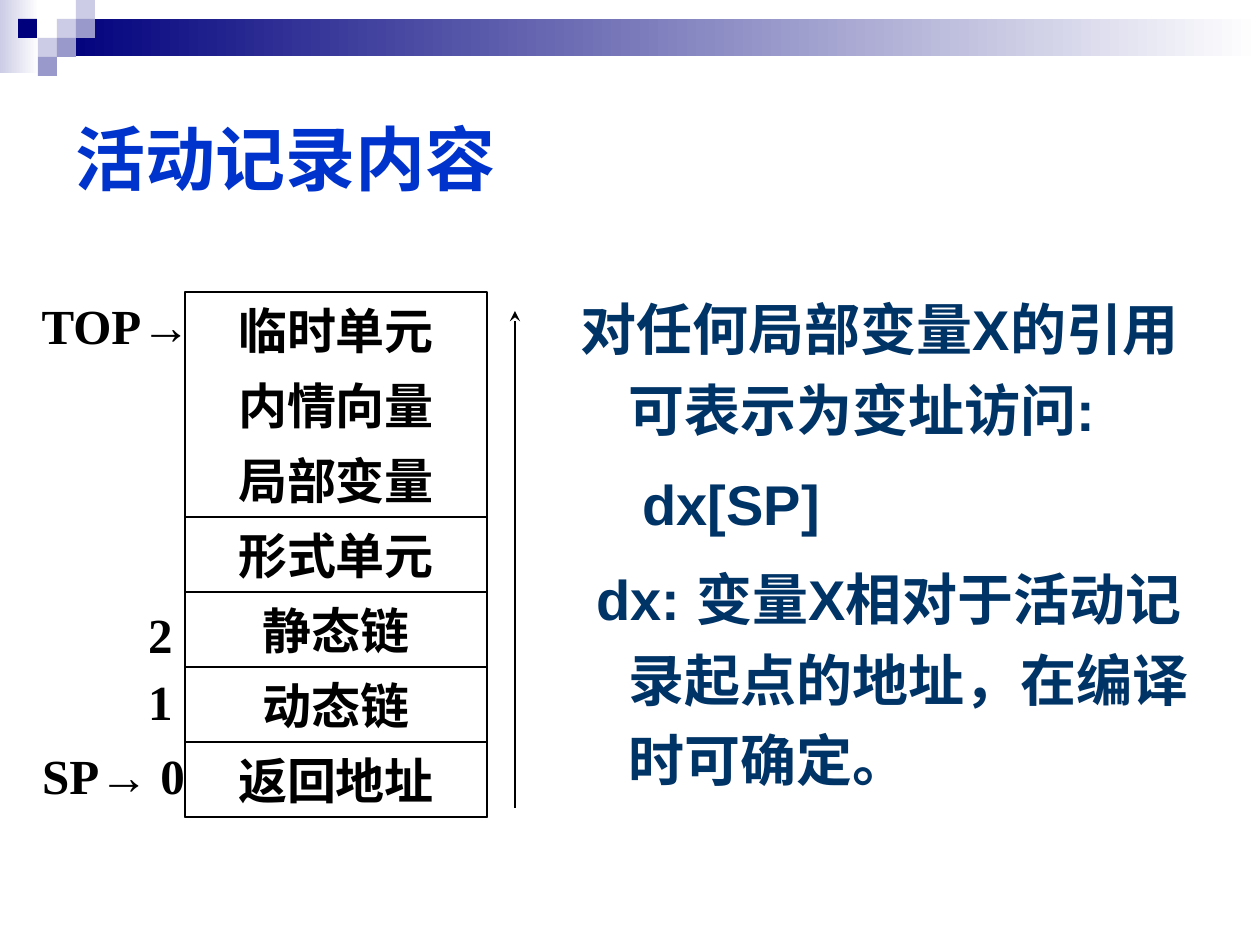
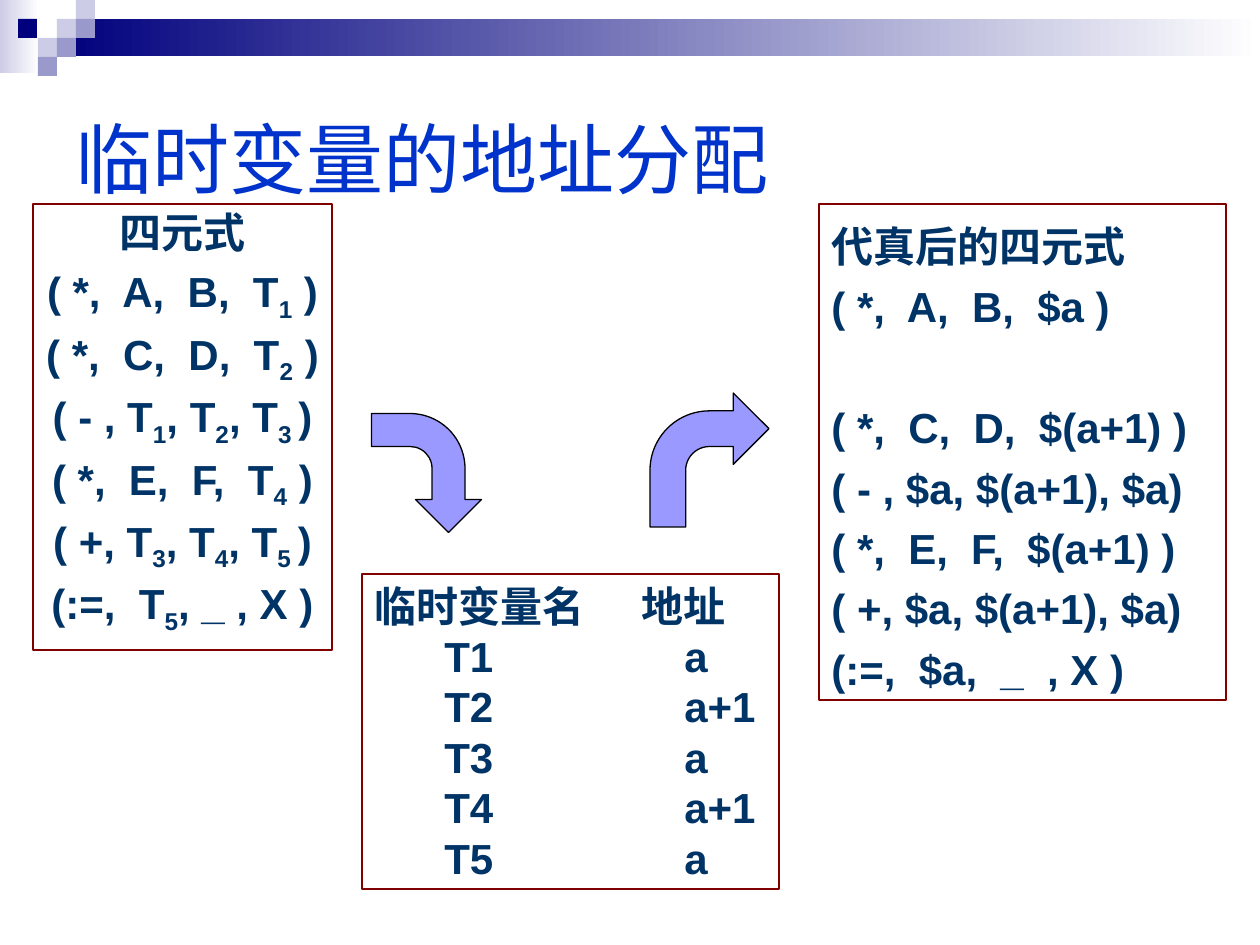
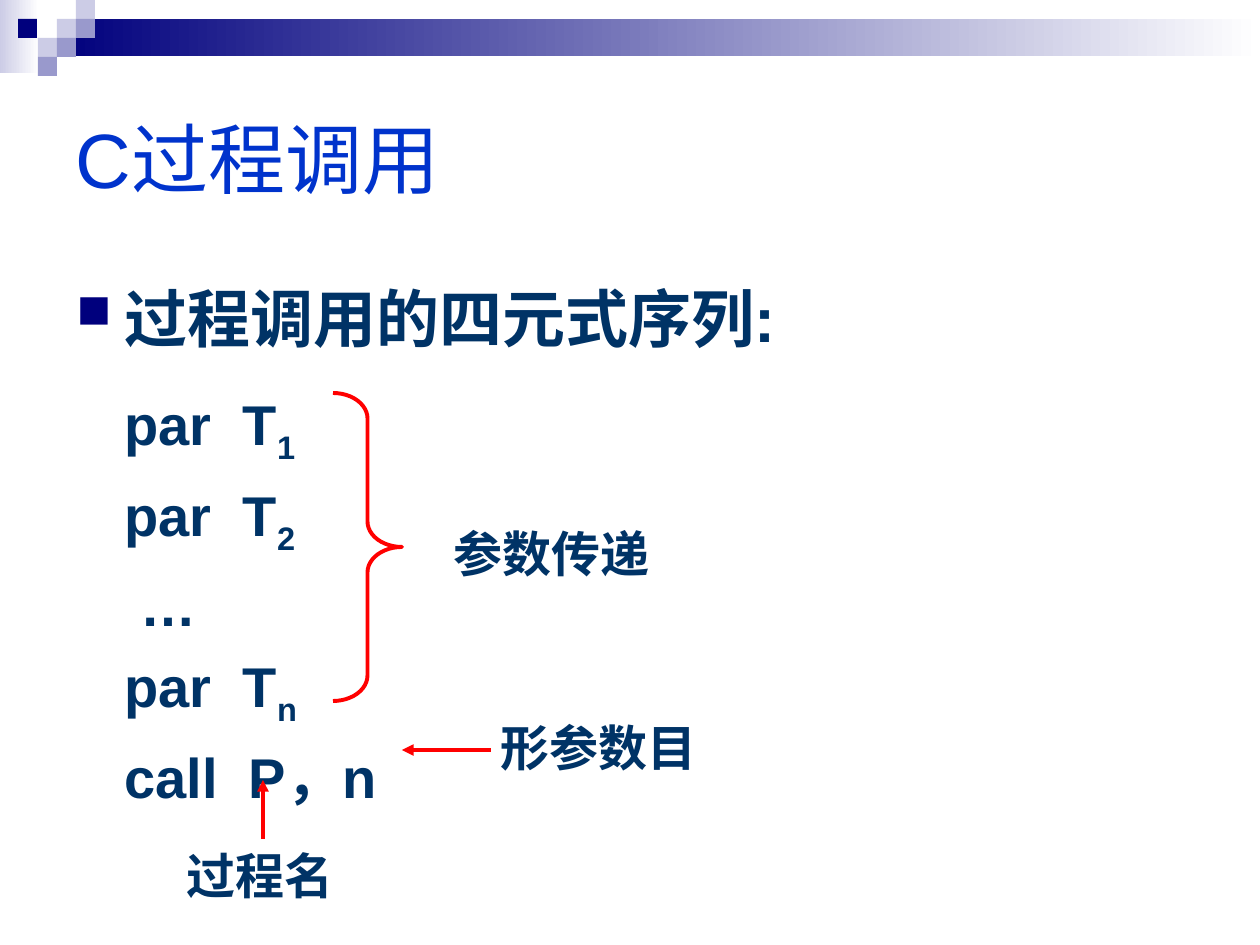
from lxml import etree
from pptx import Presentation
from pptx import util as u
from pptx.dml.color import RGBColor
from pptx.enum import shapes, text
from pptx.oxml.ns import qn

SCALE = 914400 / 126
NAVY, LILAC, VIOLET, WHITE = "00007D", "CCCCE6", "9999CC", "FFFFFF"
BLUE, INK, BLACK, RED, MAROON, ARROW = "0033CC", "003366", "000000", "FF0000", "800000", "9999FF"
CJK = "Noto Sans CJK SC"
SUB = {"baseline": "-25000"}
CENTER, LEFT, RIGHT = text.PP_ALIGN.CENTER, text.PP_ALIGN.LEFT, text.PP_ALIGN.RIGHT
MIDDLE, TOP = text.MSO_ANCHOR.MIDDLE, text.MSO_ANCHOR.TOP
RECT = shapes.MSO_SHAPE.RECTANGLE


def px(n):
    """Turn px into EMU."""
    return round(n * SCALE)


def color(value):
    """Turn a hex string into a colour."""
    return RGBColor.from_string(value)


def font(size, hue=INK, name="Arial", bold=True):
    """Return the format values of a run."""
    return {"size": u.Pt(size), "name": name, "bold": bold, "color": hue}


def format_run(r, values):
    """Apply format values to a run."""
    for key, value in values.items():
        if key == "color":
            r.font.color.rgb = color(value)
        elif key == "baseline":
            r._r.get_or_add_rPr().set(key, value)
        else:
            setattr(r.font, key, value)


def format_paragraph(p, values):
    """Apply indents, tab stops, bullet and spacing to a paragraph."""
    pPr = p._p.get_or_add_pPr()
    for key, value in values.items():
        if key in ("marL", "indent"):
            pPr.set(key, str(px(value)))
        elif key == "bullet":
            hue = etree.SubElement(pPr, qn("a:buClr"))
            etree.SubElement(hue, qn("a:srgbClr"), val=NAVY)
            etree.SubElement(pPr, qn("a:buSzPct"), val="75000")
            etree.SubElement(pPr, qn("a:buChar"), char=value)
        elif key == "tabs":
            tabs = etree.SubElement(pPr, qn("a:tabLst"))
            for stop in value:
                etree.SubElement(tabs, qn("a:tab"), pos=str(px(stop)), algn="l")
        else:
            setattr(p, key, value)


def write(sp, paragraphs, fmt, alt=SUB, anchor=TOP, wrap=True):
    """Fill a shape with (text, values) pairs; parts between ~ marks take alt."""
    tf = sp.text_frame
    tf.auto_size = text.MSO_AUTO_SIZE.NONE
    tf.word_wrap = wrap
    tf.vertical_anchor = anchor
    for i, (line, values) in enumerate(paragraphs):
        p = tf.add_paragraph() if i else tf.paragraphs[0]
        format_paragraph(p, values)
        for j, part in enumerate(line.split("~")):
            if part:
                r = p.add_run()
                r.text = part
                format_run(r, {**fmt, **alt} if j % 2 else fmt)
                etree.SubElement(r._r.get_or_add_rPr(), qn("a:ea"), typeface=CJK)


def add_shape(s, kind, box, fill=None, line=None, width=0.75):
    """Add a preset shape; a pair of fill colours makes a gradient."""
    sp = s.shapes.add_shape(kind, *map(px, box))
    sp.shadow.inherit = False
    if isinstance(fill, tuple):
        sp.fill.gradient()
        sp.fill.gradient_angle = 0
        for stop, hue, position in zip(sp.fill.gradient_stops, fill, (0, 1)):
            stop.color.rgb, stop.position = color(hue), position
    elif fill:
        sp.fill.solid()
        sp.fill.fore_color.rgb = color(fill)
    else:
        sp.fill.background()
    if line:
        sp.line.color.rgb = color(line)
        sp.line.width = u.Pt(width)
    else:
        sp.line.fill.background()
    return sp


def add_text(s, box, paragraphs, fmt, **options):
    """Add a text box."""
    write(s.shapes.add_textbox(*map(px, box)), paragraphs, fmt, **options)


def add_panel(s, box, paragraphs):
    """Add a framed block of text."""
    write(add_shape(s, RECT, box, line=MAROON), paragraphs, font(24))


def add_arrow(s, ends, hue, width, head):
    """Add a straight arrow."""
    c = s.shapes.add_connector(shapes.MSO_CONNECTOR.STRAIGHT, *map(px, ends))
    c.line.color.rgb = color(hue)
    c.line.width = u.Pt(width)
    etree.SubElement(c.line._get_or_add_ln(), qn("a:tailEnd"), type=head)
    etree.SubElement(c.element.spPr, qn("a:effectLst"))


def add_bent_arrow(s, box, rotation=0):
    """Add a bent block arrow."""
    sp = add_shape(s, shapes.MSO_SHAPE.BENT_ARROW, box, ARROW, BLACK)
    sp.rotation = rotation
    for i, value in enumerate((0.3, 0.3, 0.3, 0.5)):
        sp.adjustments[i] = value


def add_slide(prs, title, size=44, bold=False):
    """Add a slide with its title."""
    s = prs.slides.add_slide(prs.slide_layouts[5])
    sp = s.shapes.title
    sp.left, sp.top, sp.width, sp.height = map(px, (63, 63, 1134, 189))
    write(sp, [(title, {"alignment": LEFT})], font(size, BLUE, bold=bold), anchor=MIDDLE)
    return s


def decorate_layout(s):
    """Put the top band and its squares on the layout of a slide."""
    band = [((0, 0, 39, 73), (LILAC, WHITE)), ((57, 19, 1203, 37), (NAVY, WHITE)),
            ((18, 19, 19, 19), NAVY)]
    squares = [(3, 1, LILAC), (4, 0, LILAC), (4, 1, VIOLET),
               (2, 2, LILAC), (3, 2, VIOLET), (2, 3, VIOLET)]
    band += [((19 * col, 19 * row, 19, 19), hue) for col, row, hue in squares]
    for i, (box, fill) in enumerate(band):
        element = add_shape(s, RECT, box, fill).element
        element.nvSpPr.cNvPr.set("id", str(100 + i))
        s.slide_layout.shapes.element.append(element)


def build_record(s):
    """Draw the activation record as a stack of cells."""
    left, top, width, row = 185, 292, 302, 75
    fmt = font(28, BLACK, "Times New Roman")
    add_text(s, (568, 275, 648, 630), [
        ("对任何局部变量X的引用可表示为变址访问:",
         {"marL": 48, "indent": -48, "line_spacing": 1.2}),
        ("dx[SP]", {"marL": 62, "line_spacing": 1.2, "space_before": u.Pt(8)}),
        ("dx: 变量X相对于活动记录起点的地址，在编译时可确定。",
         {"marL": 48, "indent": -32, "line_spacing": 1.2, "space_before": u.Pt(8)}),
    ], font(32))
    add_shape(s, RECT, (left, top, width, 7 * row), line=BLACK, width=1.5)
    cells = ["临时单元", "内情向量", "局部变量", "形式单元", "静态链", "动态链", "返回地址"]
    for i, name in enumerate(cells):
        line = BLACK if i > 2 else None
        sp = add_shape(s, RECT, (left, top + i * row, width, row), line=line, width=1.5)
        write(sp, [(name, {"alignment": CENTER})], fmt, anchor=MIDDLE, wrap=False)
    labels = [("TOP~→~", CENTER, 68, 292, 96), ("2", RIGHT, 106, 601, 79),
              ("1", RIGHT, 106, 668, 79), ("SP~→~ 0", CENTER, 74, 742, 79)]
    for label, align, x, y, w in labels:
        add_text(s, (x, y, w, 66), [(label, {"alignment": align})], fmt,
                 alt={"name": "Arial"}, anchor=MIDDLE, wrap=False)
    add_arrow(s, (515, 808, 515, 311), BLACK, 1.5, "stealth")


def build_allocation(s):
    """Draw the quadruples, the address list and the replaced quadruples."""
    quads = ["四元式", "( *,  A,  B,  T~1~ )", "( *,  C,  D,  T~2~ )", "( - , T~1~, T~2~, T~3 ~)",
             "( *,  E,  F,  T~4~ )", "( +, T~3~, T~4~, T~5 ~)", "(:=,  T~5~, _ , X )"]
    add_panel(s, (33, 204, 299, 446), [
        (quad, {"alignment": CENTER, "line_spacing": 0.95, "space_before": u.Pt(4.5 if i else 0)})
        for i, quad in enumerate(quads)])
    addresses = ["a", "a+1", "a", "a+1", "a"]
    add_panel(s, (362, 574, 417, 315), [
        ("临时变量名\t地址", {"alignment": LEFT, "tabs": [267]}),
        *((f"\tT{i}\t{address}", {"alignment": LEFT, "tabs": [70, 310]})
          for i, address in enumerate(addresses, 1))])
    replaced = ["代真后的四元式", "( *,  A,  B,  $a )", "( *,  C,  D,  $(a+1) )",
                "( - , $a, $(a+1), $a)", "( *,  E,  F,  $(a+1) )",
                "( +, $a, $(a+1), $a)", "(:=,  $a,  _  , X )"]
    add_panel(s, (819, 204, 407, 496), [
        (quad, {"alignment": LEFT, "line_spacing": 1.2, "space_before": u.Pt(34.5 if i == 2 else 0)})
        for i, quad in enumerate(replaced)])
    add_bent_arrow(s, (367, 418, 119, 110), 90)
    add_bent_arrow(s, (650, 393, 119, 134))


def build_call(s):
    """Draw the quadruples of a call with their notes."""
    steps = [("par  T~1~", 48), ("par  T~2~", 48), ("…", 64), ("par  T~n~", 48), ("call  P，n", 48)]
    body = (64, 273, 1134, 536)
    heading = {"marL": 48, "indent": -48, "bullet": "■", "space_after": u.Pt(12)}
    lines = [("过程调用的四元式序列:", heading)]
    lines += [(step, {"marL": x, "space_before": u.Pt(8)}) for step, x in steps]
    sp = s.shapes.add_textbox(*map(px, body))
    write(sp, lines, font(32))
    sp.text_frame.paragraphs[0].runs[0].font.size = u.Pt(36)
    brace = add_shape(s, shapes.MSO_SHAPE.RIGHT_BRACE, (333, 393, 69, 308), line=RED, width=2.25)
    brace.adjustments[0] = 0.37
    notes = [("参数传递", 441, 517, 297), ("过程名", 174, 839, 189), ("形参数目", 488, 711, 252)]
    for note, x, y, w in notes:
        add_text(s, (x, y, w, 72), [(note, {})], font(28))
    for ends in ((263, 839, 263, 780), (491, 750, 402, 750)):
        add_arrow(s, ends, RED, 2.25, "triangle")


def main():
    """Build the three slides."""
    prs = Presentation()
    prs.slide_width, prs.slide_height = px(1260), px(945)
    record = add_slide(prs, "活动记录内容", 40, True)
    decorate_layout(record)
    build_record(record)
    build_allocation(add_slide(prs, "临时变量的地址分配"))
    build_call(add_slide(prs, "C过程调用"))
    prs.save("out.pptx")


if __name__ == "__main__":
    main()
